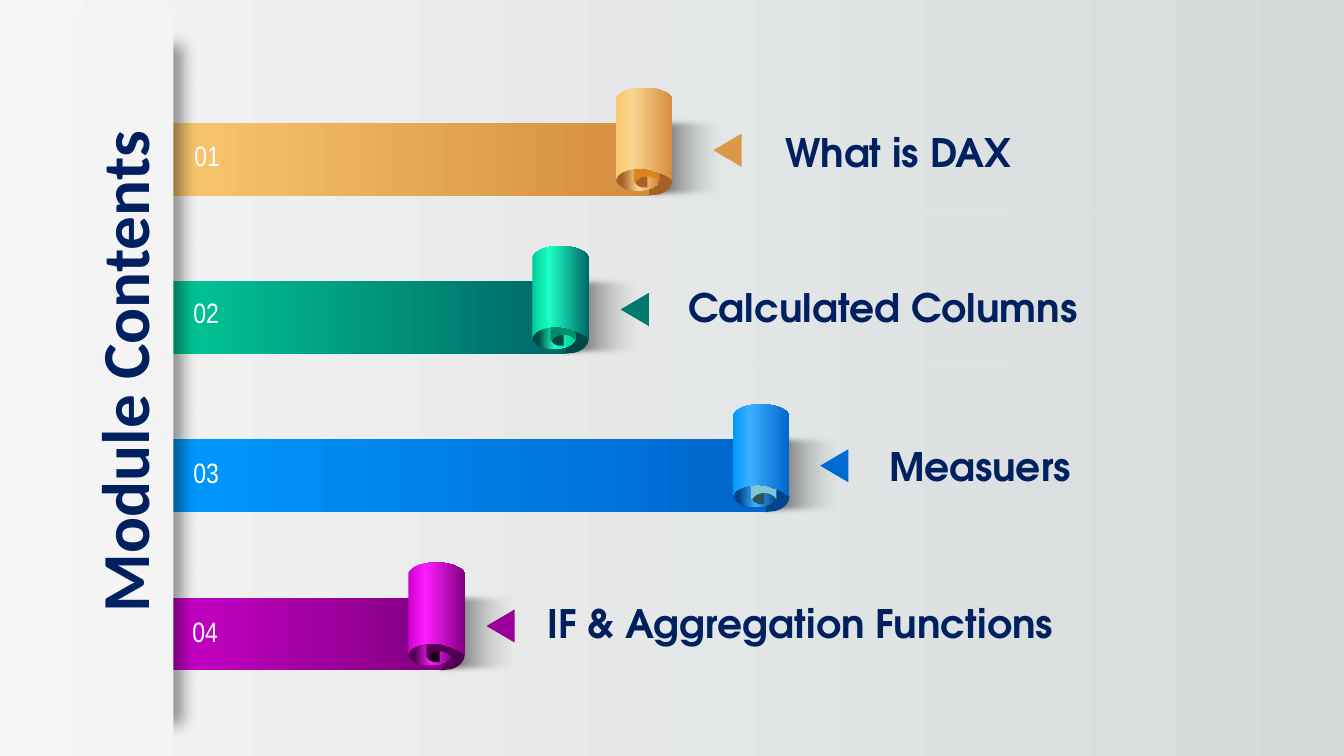
from dataclasses import dataclass

from lxml import etree
from pptx import Presentation
from pptx.dml.color import RGBColor
from pptx.enum.shapes import MSO_CONNECTOR, MSO_SHAPE
from pptx.enum.text import MSO_ANCHOR, MSO_AUTO_SIZE, PP_ALIGN
from pptx.oxml.ns import qn
from pptx.util import Emu, Pt

PX = 9144  # 100 px to the inch
RECT, OVAL, TRIANGLE = MSO_SHAPE.RECTANGLE, MSO_SHAPE.OVAL, MSO_SHAPE.ISOSCELES_TRIANGLE
STRAIGHT = MSO_CONNECTOR.STRAIGHT
TOP, CENTER, NO_FIT = MSO_ANCHOR.TOP, PP_ALIGN.CENTER, MSO_AUTO_SIZE.NONE
NAVY, PANEL = "002060", "F4F4F4"
STRIP_LEFT, FIRST_TOP, PITCH = 151, 87, 157

NUMBER = {"size": Pt(20), "name": "Arial Narrow"}
LABEL = {"size": Pt(28), "name": "TeX Gyre Adventor", "bold": True}
TITLE = {"size": Pt(48), "name": "Calibri", "bold": True}

# Outlines relative to the roll's top left corner: two numbers make a line, six a Bézier curve
TAIL = [(56, 92), (56, 98, 50, 104, 42, 106), (32, 107), (32, 76), (42, 77),
        (50, 80, 56, 85, 56, 92)]
CORE = [(19, 93), (19, 96, 22, 98, 26, 99), (31, 99), (31, 88), (26, 88),
        (22, 89, 19, 91, 19, 93)]
INNER = [(18, 51), (20, 48, 25, 46, 31, 46), (36, 46, 41, 48, 43, 51), (43, 94),
         (40, 90, 36, 88, 31, 88), (26, 88, 22, 90, 19, 94), (18, 94)]
ROLL = [(28, 0), (39, 0, 51, 3, 56, 10), (56, 91), (52, 88, 48, 86, 43, 84), (39, 83),
        (34, 81), (31, 81, 28, 80, 24, 80), (13, 80, 3, 84, 1, 89), (0, 92), (0, 10),
        (5, 3, 16, 0, 28, 0)]


@dataclass
class Stop:
    pos: int
    color: str
    alpha: int = 100


@dataclass
class Ribbon:
    text: str
    roll_left: int
    start: str
    light: str
    end: str
    dark: str
    rim: str
    core: str
    inner: str
    pointer: str
    number_at: tuple[int, int]
    pointer_at: tuple[int, int]
    label_at: tuple[int, int]
    label_width: int
    rule_top: int = 0


RIBBONS = [
    Ribbon("What is DAX", 611, "FAC86F", "FBD48F", "D48D3E", "A76124", "CE8537", "A76124",
           "DD821D", "DB9948", (183, 133), (705, 135), (769, 122), 352, 208),
    Ribbon("Calculated Columns", 528, "00CC99", "1DFFC4", "006666", "004846", "00CC99", "004846",
           "008E69", "007A70", (182, 288), (613, 293), (673, 276), 626, 363),
    Ribbon("Measuers", 727, "0099FF", "3BB0FF", "0066CC", "00458A", "00458A", "28585E",
           "81C6D1", "006CD2", (182, 447), (811, 448), (872, 434), 428),
    Ribbon("IF & Aggregation Functions", 405, "CC00CC", "FF1DFF", "800080", "500050", "800080",
           "1A001A", "500050", "9A009A", (181, 605), (480, 607), (533, 590), 647),
]


def rgb(color: str) -> RGBColor:
    return RGBColor.from_string(color)


def box(*lengths: int) -> list[Emu]:
    return [Emu(n * PX) for n in lengths]


def add_color(parent, color: str, alpha: int):
    clr = etree.SubElement(parent, qn("a:srgbClr"), val=color)
    if alpha < 100:
        etree.SubElement(clr, qn("a:alpha"), val=str(alpha * 1000))


def paint(fill, element, stops: list[Stop]):
    """Fill with a left-to-right gradient; element is the XML that holds the fill."""
    fill.gradient()
    fill.gradient_angle = 0
    gs_list = element.find(".//" + qn("a:gsLst"))
    gs_list.clear()
    for stop in stops:
        gs = etree.SubElement(gs_list, qn("a:gs"), pos=str(stop.pos * 1000))
        add_color(gs, stop.color, stop.alpha)


def finish(sp, fill: str | list[Stop]):
    sp.shadow.inherit = False
    sp.line.fill.background()
    if isinstance(fill, str):
        sp.fill.solid()
        sp.fill.fore_color.rgb = rgb(fill)
    else:
        paint(sp.fill, sp._element, fill)
    return sp


def add_preset(shapes, kind, at: tuple[int, int, int, int], fill: str | list[Stop]):
    return finish(shapes.add_shape(kind, *box(*at)), fill)


def add_effect(sp, tag: str, **attrs: str):
    effects = sp._element.spPr.find(qn("a:effectLst"))
    return etree.SubElement(effects, qn(tag), **attrs)


def add_outline(shapes, outline: list[tuple], left: int, top: int, fill: str | list[Stop]):
    """Draw the outline through its end points, then bend the segments that are curves."""
    ends = [segment[-2:] for segment in outline]
    points = [((left + x) * PX, (top + y) * PX) for x, y in ends]
    builder = shapes.build_freeform(*points[0], scale=1.0)
    builder.add_line_segments(points[1:], close=True)
    sp = finish(builder.convert_to_shape(), fill)
    min_x, min_y = (min(axis) for axis in zip(*ends))
    lines = sp._element.findall(".//" + qn("a:lnTo"))
    for line, segment in zip(lines, outline[1:]):
        if len(segment) == 6:
            curve = etree.Element(qn("a:cubicBezTo"))
            for x, y in zip(segment[::2], segment[1::2]):
                etree.SubElement(curve, qn("a:pt"), x=str((x - min_x) * PX),
                                 y=str((y - min_y) * PX))
            line.getparent().replace(line, curve)


def write(tf, text: str, font: dict, color: str):
    tf.word_wrap = True
    p = tf.paragraphs[0]
    r = p.add_run()
    r.text = text
    for name, value in font.items():
        setattr(r.font, name, value)
    r.font.color.rgb = rgb(color)
    return p


def add_text(shapes, at: tuple[int, int, int, int], text: str, font: dict, color: str):
    write(shapes.add_textbox(*box(*at)).text_frame, text, font, color)


def add_rule(shapes, left: int, top: int):
    line = shapes.add_connector(STRAIGHT, *box(left, top, left + 411, top))
    line.line.width = Pt(0.5)
    line.line.color.rgb = rgb("F2F2F2")
    clr = line._element.find(".//" + qn("a:srgbClr"))
    etree.SubElement(clr, qn("a:alpha"), val="30000")
    etree.SubElement(line._element.spPr, qn("a:effectLst"))


def add_ribbon(shapes, rb: Ribbon, top: int):
    left = rb.roll_left
    cast = add_preset(shapes, RECT, (left + 21, top + 27, 93, 86),
                      [Stop(0, "000000"), Stop(100, "E9EBEA", 0)])
    add_effect(cast, "a:softEdge", rad="63500")
    add_outline(shapes, TAIL, left, top, rb.dark)
    add_preset(shapes, RECT, (STRIP_LEFT, top + 35, left + 33 - STRIP_LEFT, 72),
               [Stop(0, rb.start), Stop(100, rb.end)])
    add_preset(shapes, OVAL, (left, top + 80, 43, 22),
               [Stop(14, rb.dark), Stop(52, rb.light), Stop(100, rb.rim)])
    add_outline(shapes, CORE, left, top, rb.core)
    add_outline(shapes, INNER, left, top, rb.inner)
    add_outline(shapes, ROLL, left, top,
                [Stop(0, rb.start), Stop(30, rb.light), Stop(100, rb.end)])


def add_caption(shapes, rb: Ribbon, number: int):
    add_text(shapes, (*rb.number_at, 55, 44), f"{number:02}", NUMBER, "FFFFFF")
    add_preset(shapes, TRIANGLE, (*rb.pointer_at, 33, 28), rb.pointer).rotation = 270
    add_text(shapes, (*rb.label_at, rb.label_width, 57), rb.text, LABEL, NAVY)
    if rb.rule_top:
        add_rule(shapes, rb.label_at[0], rb.rule_top)


def add_panel(shapes):
    edge = add_preset(shapes, RECT, (116, 45, 55, 672), PANEL)
    shadow = add_effect(edge, "a:outerShdw", blurRad=str(Pt(11)), dist=str(Pt(7)), dir="0",
                        algn="l", rotWithShape="0")
    add_color(shadow, "000000", 40)
    add_preset(shapes, RECT, (68, 13, 104, 737), PANEL)


def place_title(shapes, text: str):
    title = shapes.title
    title.left, title.top, title.width, title.height = box(-246, 323, 737, 91)
    title.rotation = 270
    tf = title.text_frame
    tf.auto_size, tf.vertical_anchor = NO_FIT, TOP
    write(tf, text, TITLE, NAVY).alignment = CENTER
    shapes._spTree.append(title._element)


def main():
    prs = Presentation()
    prs.slide_width, prs.slide_height = box(1333, 750)
    slide = prs.slides.add_slide(prs.slide_layouts[5])
    paint(slide.background.fill, slide._element, [Stop(0, "F5F5F5"), Stop(100, "D4DADA")])
    for i, rb in enumerate(RIBBONS):
        add_ribbon(slide.shapes, rb, FIRST_TOP + i * PITCH)
    add_panel(slide.shapes)
    for number, rb in enumerate(RIBBONS, 1):
        add_caption(slide.shapes, rb, number)
    place_title(slide.shapes, "Module Contents")
    prs.save("out.pptx")


if __name__ == "__main__":
    main()
